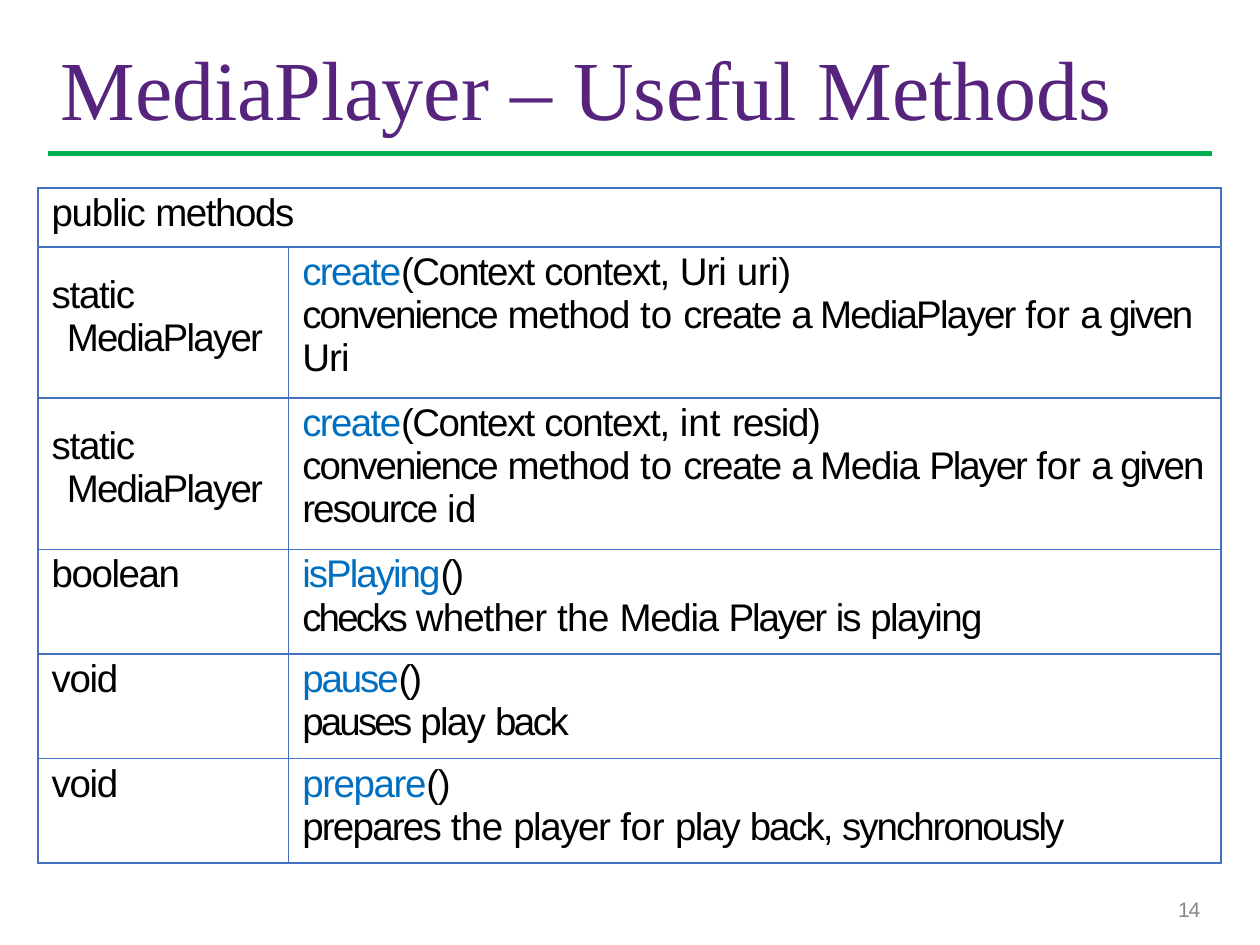
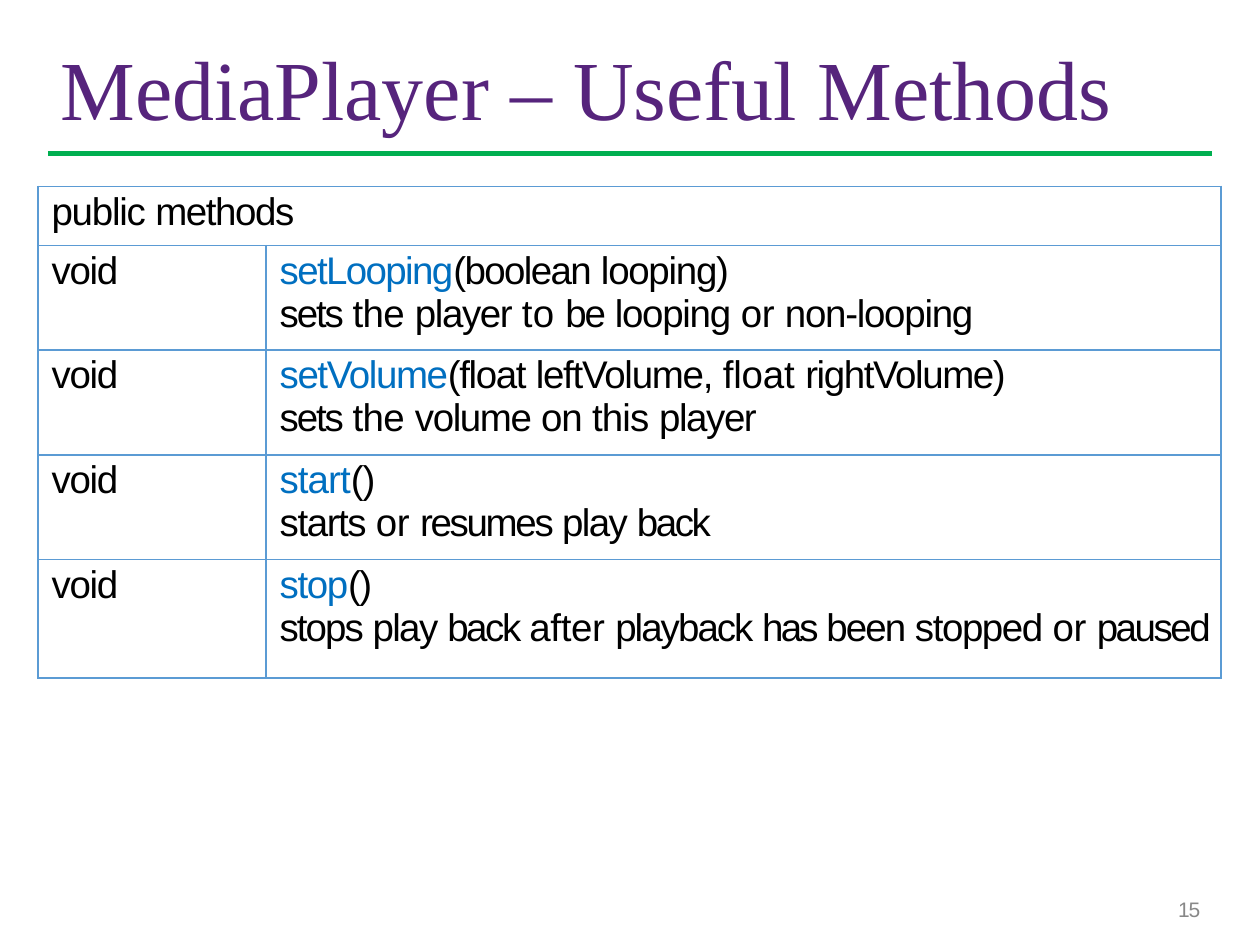
from lxml import etree
from pptx import Presentation
from pptx.dml.color import RGBColor
from pptx.enum.shapes import MSO_CONNECTOR
from pptx.enum.text import MSO_ANCHOR, MSO_AUTO_SIZE, PP_ALIGN
from pptx.oxml.ns import qn
from pptx.util import Inches, Pt

STRAIGHT = MSO_CONNECTOR.STRAIGHT
TOP = MSO_ANCHOR.TOP
LEFT = PP_ALIGN.LEFT
NO_AUTO_SIZE = MSO_AUTO_SIZE.NONE

PURPLE = RGBColor(0x56, 0x24, 0x7C)
GREEN = RGBColor(0x00, 0xAF, 0x50)
GRAY = RGBColor(0x88, 0x88, 0x88)
BLACK = RGBColor(0x00, 0x00, 0x00)
METHOD_BLUE = RGBColor(0x00, 0x6F, 0xC0)
DARK_BORDER = RGBColor(0x44, 0x71, 0xC4)
LIGHT_BORDER = RGBColor(0x5B, 0x9B, 0xD4)

TITLE_FONT = "Times New Roman"
BODY_FONT = "Arial"
TITLE = "MediaPlayer – Useful Methods"
TABLE_HEADING = "public methods"
TITLE_ONLY_LAYOUT = 5
CELL_INDENT = 0.11

DEFAULT_SPACING = -0.8
WORDS_BY_SPACING = {
    -1.8: "a",
    -1.6: "checks pauses has",
    -1.4: "back paused",
    -1.3: "resumes",
    -1.2: "Player pause back, sets",
    -1.1: "convenience given resource isPlaying is synchronously be stops playback been",
    -1.0: "MediaPlayer prepares",
    -0.9: "create playing play setLooping",
    -0.7: "public static context, void Media looping looping) non-looping leftVolume, on",
    -0.6: "method",
    -0.5: "Uri whether start this",
    -0.3: "the id",
    -0.2: "uri) or after",
    -0.1: "for float",
    0.1: "to int",
}
WORD_SPACING = {word: spacing for spacing, words in WORDS_BY_SPACING.items() for word in words.split()}

CREATION_AND_PLAYBACK = [
    ("static MediaPlayer", "create", "(Context context, Uri uri)",
     "convenience method to create a MediaPlayer for a given Uri"),
    ("static MediaPlayer", "create", "(Context context, int resid)",
     "convenience method to create a Media Player for a given resource id"),
    ("boolean", "isPlaying", "()", "checks whether the Media Player is playing"),
    ("void", "pause", "()", "pauses play back"),
    ("void", "prepare", "()", "prepares the player for play back, synchronously"),
]
PLAYER_CONTROL = [
    ("void", "setLooping", "(boolean looping)", "sets the player to be looping or non-looping"),
    ("void", "setVolume", "(float leftVolume, float rightVolume)", "sets the volume on this player"),
    ("void", "start", "()", "starts or resumes play back"),
    ("void", "stop", "()", "stops play back after playback has been stopped or paused"),
]


def add_text(paragraph, text, *, size=22, font=BODY_FONT, color=BLACK, spacing=0.0):
    """Append a formatted run to the paragraph."""
    run = paragraph.add_run()
    run.text = text
    run.font.size = Pt(size)
    run.font.name = font
    run.font.color.rgb = color
    if spacing:
        run.font._element.set("spc", str(round(spacing * 100)))


def add_words(paragraph, text, first_spacing=None):
    """Append each word with its own letter spacing."""
    words = text.split()
    for index, word in enumerate(words):
        spacing = WORD_SPACING.get(word, DEFAULT_SPACING)
        if index == 0 and first_spacing is not None:
            spacing = first_spacing
        ending = " " if index < len(words) - 1 else ""
        add_text(paragraph, word + ending, spacing=spacing)


def set_left_indent(paragraph, inches):
    """Set the left margin of the paragraph."""
    properties = paragraph._p.get_or_add_pPr()
    properties.set("marL", str(Inches(inches)))
    properties.set("indent", "0")


def clear_margins(frame, top=0.0):
    """Remove the inner margins, except the one at the top."""
    frame.margin_left = frame.margin_right = frame.margin_bottom = 0
    frame.margin_top = Inches(top)


def cell_paragraph(cell, index=0, indent=CELL_INDENT):
    """Return an indented paragraph of the cell, adding it when needed."""
    frame = cell.text_frame
    paragraph = frame.paragraphs[0] if index == 0 else frame.add_paragraph()
    set_left_indent(paragraph, indent)
    if index == 0:
        paragraph.space_before = Pt(2.2)
    return paragraph


def style_cell(cell, border_color):
    """Give the cell thin borders, no fill and tight margins."""
    clear_margins(cell, top=0.03)
    properties = cell._tc.get_or_add_tcPr()
    for side in ("lnL", "lnR", "lnT", "lnB"):
        line = etree.SubElement(properties, qn(f"a:{side}"), w=str(Pt(1)))
        fill = etree.SubElement(line, qn("a:solidFill"))
        etree.SubElement(fill, qn("a:srgbClr"), val=str(border_color))
    cell.fill.background()


def fill_return_type(cell, return_type):
    """Write the return type, with its class name on a second line."""
    words = return_type.split()
    for index, word in enumerate(words):
        indent = CELL_INDENT if index == 0 else 0.23
        add_words(cell_paragraph(cell, index, indent), word)
    if len(words) > 1:
        cell.margin_top = Inches(0.21)
        cell.text_frame.paragraphs[0].space_before = Pt(15.4)


def fill_method(cell, name, arguments, description):
    """Write the method signature and its description."""
    signature = cell_paragraph(cell)
    spacing = WORD_SPACING.get(name, DEFAULT_SPACING)
    add_text(signature, name, color=METHOD_BLUE, spacing=spacing)
    add_words(signature, arguments, first_spacing=spacing)
    add_words(cell_paragraph(cell, 1), description)


def add_methods_table(slide, methods, *, top, column_widths, row_heights, border_color):
    """Add the table of methods under a merged heading row."""
    frame = slide.shapes.add_table(
        len(methods) + 1, 2, Inches(0.3), Inches(top),
        Inches(sum(column_widths)), Inches(sum(row_heights)))
    table = frame.table
    table.first_row = table.horz_banding = False
    for column, width in zip(table.columns, column_widths):
        column.width = Inches(width)
    for row, height in zip(table.rows, row_heights):
        row.height = Inches(height)
    for cell in table.iter_cells():
        style_cell(cell, border_color)

    heading = table.cell(0, 0)
    heading.merge(table.cell(0, 1))
    add_words(cell_paragraph(heading), TABLE_HEADING)
    for index, (return_type, name, arguments, description) in enumerate(methods, start=1):
        fill_return_type(table.cell(index, 0), return_type)
        fill_method(table.cell(index, 1), name, arguments, description)


def place_title(slide):
    """Move and format the title placeholder."""
    title = slide.shapes.title
    title.left, title.top = Inches(0.47), Inches(0.28)
    title.width, title.height = Inches(8.38), Inches(0.83)
    frame = title.text_frame
    frame.auto_size = NO_AUTO_SIZE
    frame.vertical_anchor = TOP
    clear_margins(frame, top=0.01)
    paragraph = frame.paragraphs[0]
    paragraph.alignment = LEFT
    paragraph.space_before = Pt(1)
    set_left_indent(paragraph, 0.01)
    add_text(paragraph, TITLE, size=48, font=TITLE_FONT, color=PURPLE)


def add_title_rule(slide):
    """Draw the green line below the title."""
    rule = slide.shapes.add_connector(STRAIGHT, Inches(0.38), Inches(1.22), Inches(9.62), Inches(1.22))
    rule.line.color.rgb = GREEN
    rule.line.width = Pt(3)
    etree.SubElement(rule._element.spPr, qn("a:effectLst"))


def add_page_number(slide, number):
    """Write the page number at the bottom right."""
    box = slide.shapes.add_textbox(Inches(9.32), Inches(7.14), Inches(0.23), Inches(0.19))
    frame = box.text_frame
    frame.word_wrap = True
    clear_margins(frame)
    paragraph = frame.paragraphs[0]
    paragraph.line_spacing = Pt(12.4)
    set_left_indent(paragraph, 0.03)
    add_text(paragraph, str(number), size=12, color=GRAY, spacing=-0.6)


def add_methods_slide(presentation, number, methods, **table_format):
    """Add a slide with title, rule, page number and methods table."""
    slide = presentation.slides.add_slide(presentation.slide_layouts[TITLE_ONLY_LAYOUT])
    add_title_rule(slide)
    place_title(slide)
    add_page_number(slide, number)
    add_methods_table(slide, methods, **table_format)


def main():
    """Build the two slides and save them."""
    presentation = Presentation()
    presentation.slide_width = Inches(10)
    presentation.slide_height = Inches(7.5)
    add_methods_slide(
        presentation, 14, CREATION_AND_PLAYBACK, top=1.49, column_widths=(1.99, 7.4),
        row_heights=(0.47, 1.2, 1.2, 0.83, 0.83, 0.83), border_color=DARK_BORDER)
    add_methods_slide(
        presentation, 15, PLAYER_CONTROL, top=1.48, column_widths=(1.81, 7.58),
        row_heights=(0.47, 0.83, 0.83, 0.83, 0.94), border_color=LIGHT_BORDER)
    presentation.save("out.pptx")


if __name__ == "__main__":
    main()
